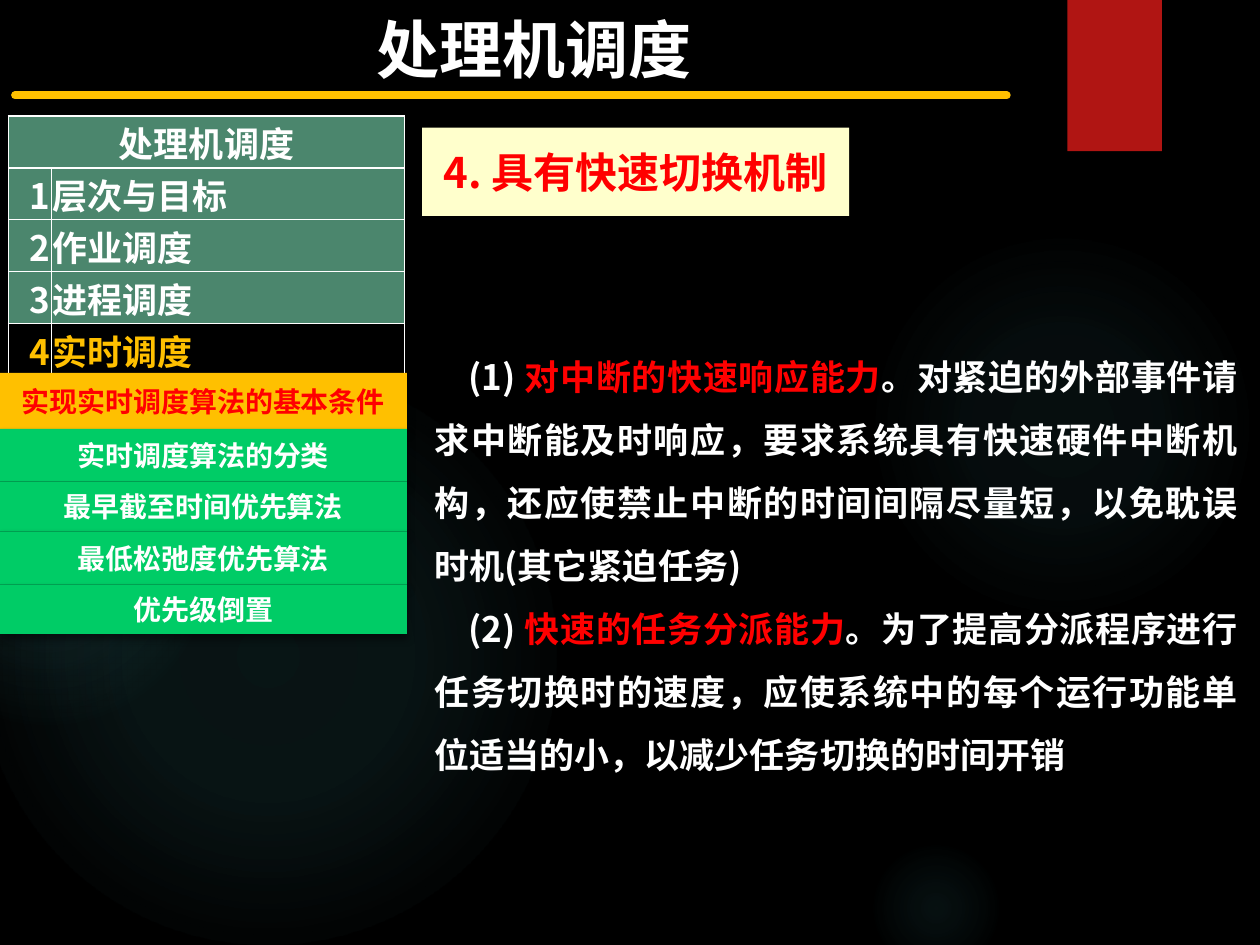
from dataclasses import dataclass

import pptx
import pptx.dml.color
import pptx.enum.shapes
import pptx.enum.text
import pptx.oxml
import pptx.oxml.ns
import pptx.util
from lxml import etree

Pt = pptx.util.Pt
qn = pptx.oxml.ns.qn
Shapes = pptx.enum.shapes.MSO_SHAPE
Align = pptx.enum.text.PP_ALIGN
Anchor = pptx.enum.text.MSO_ANCHOR

FONT = "Noto Sans CJK SC"
COLORS = {
    "background": "000000", "glow": "50B9C1", "ribbon": "B01513",
    "gold": "FFC000", "white": "FFFFFF", "chapter": "4B866D",
    "cream": "FFFFCC", "red": "FF0000", "green": "00CC66",
}


@dataclass
class Box:
    left: float
    top: float
    width: float
    height: float

    def lengths(self):
        return Pt(self.left), Pt(self.top), Pt(self.width), Pt(self.height)


@dataclass
class Glow:
    box: Box
    stops: tuple  # (position %, opacity %)


@dataclass
class Shadow:
    opacity: int
    blur: float
    distance: float


@dataclass
class Topic:
    text: str
    height: float
    fill: str = "green"
    color: str = "white"


@dataclass
class Point:
    number: str
    key: str
    detail: str


GLOWS = [
    Glow(Box(496, 132, 222, 222), ((0, 7), (36, 6), (69, 0))),
    Glow(Box(496, 480, 78, 78), ((0, 9), (36, 5), (66, 0))),
    Glow(Box(-12, 210, 330, 330), ((0, 11), (36, 10), (75, 0))),
    Glow(Box(-66, 228, 186, 186), ((0, 8), (36, 8), (72, 0))),
]
CHAPTERS = ["层次与目标", "作业调度", "进程调度", "实时调度"]
CURRENT_CHAPTER = 4
TOPICS = [
    Topic("实现实时调度算法的基本条件", 32, "gold", "red"),
    Topic("实时调度算法的分类", 30.2),
    Topic("最早截至时间优先算法", 28.4),
    Topic("最低松弛度优先算法", 30.2),
    Topic("优先级倒置", 28.4),
]
POINTS = [
    Point("(1) ", "对中断的快速响应能力",
          "。对紧迫的外部事件请求中断能及时响应，要求系统具有快速硬件中断机构，"
          "还应使禁止中断的时间间隔尽量短，以免耽误时机(其它紧迫任务)"),
    Point("(2) ", "快速的任务分派能力",
          "。为了提高分派程序进行任务切换时的速度，应使系统中的每个运行功能单位适当的小，"
          "以减少任务切换的时间开销"),
]


def rgb(name: str) -> pptx.dml.color.RGBColor:
    return pptx.dml.color.RGBColor.from_string(COLORS[name])


def write(paragraph, runs: list[tuple[str, str]], size: float, align) -> None:
    """Fill a paragraph with (text, colour name) runs in the bold slide font."""
    paragraph.alignment = align
    font = paragraph.font
    font.size, font.bold, font.name = Pt(size), True, FONT
    defaults = paragraph._p.pPr.find(qn("a:defRPr"))
    etree.SubElement(defaults, qn("a:ea")).set("typeface", FONT)
    for text, color in runs:
        run = paragraph.add_run()
        run.text = text
        run.font.color.rgb = rgb(color)


def add_shadow(shape, shadow: Shadow) -> None:
    effects = shape._element.spPr.find(qn("a:effectLst"))
    outer = etree.SubElement(
        effects, qn("a:outerShdw"), blurRad=str(Pt(shadow.blur)),
        dist=str(Pt(shadow.distance)), dir="5400000", rotWithShape="0")
    color = etree.SubElement(outer, qn("a:srgbClr"), val=COLORS["background"])
    etree.SubElement(color, qn("a:alpha"), val=str(shadow.opacity * 1000))


def add_block(slide, box: Box, fill: str, shadow: Shadow):
    block = slide.shapes.add_shape(Shapes.RECTANGLE, *box.lengths())
    block.fill.solid()
    block.fill.fore_color.rgb = rgb(fill)
    block.line.fill.background()
    block.shadow.inherit = False
    add_shadow(block, shadow)
    block.text_frame.word_wrap = True
    block.text_frame.vertical_anchor = Anchor.MIDDLE
    return block


def add_glow(slide, glow: Glow) -> None:
    """Draw a circle that fades from its centre to clear."""
    circle = slide.shapes.add_shape(Shapes.OVAL, *glow.box.lengths())
    circle.line.fill.background()
    circle.shadow.inherit = False
    stops = "".join(
        f'<a:gs pos="{position * 1000}"><a:srgbClr val="{COLORS["glow"]}">'
        f'<a:alpha val="{opacity * 1000}"/></a:srgbClr></a:gs>'
        for position, opacity in glow.stops)
    gradient = pptx.oxml.parse_xml(
        f'<a:gradFill {pptx.oxml.ns.nsdecls("a")}><a:gsLst>{stops}</a:gsLst>'
        '<a:path path="circle"><a:fillToRect l="50000" t="50000" r="50000" b="50000"/>'
        '</a:path></a:gradFill>')
    circle._element.spPr.find(qn("a:prstGeom")).addnext(gradient)


def add_title_rule(slide) -> None:
    rule = slide.shapes.add_connector(
        pptx.enum.shapes.MSO_CONNECTOR.STRAIGHT, Pt(8.6), Pt(54.5), Pt(575.3), Pt(54.5))
    rule.line.color.rgb = rgb("gold")
    rule.line.width = Pt(4.5)
    rule._element.spPr.find(qn("a:ln")).set("cap", "rnd")
    etree.SubElement(rule._element.spPr, qn("a:effectLst"))


def fill_cell(cell, text: str, align, fill: str, color: str) -> None:
    cell.margin_left = cell.margin_right = cell.margin_top = Pt(0.7)
    cell.margin_bottom = 0
    cell.vertical_anchor = Anchor.MIDDLE
    write(cell.text_frame.paragraphs[0], [(text, color)], 20, align)
    properties = cell._tc.get_or_add_tcPr()
    for side in ("a:lnL", "a:lnR", "a:lnT", "a:lnB"):
        border = etree.SubElement(properties, qn(side), w=str(Pt(1)))
        paint = etree.SubElement(border, qn("a:solidFill"))
        etree.SubElement(paint, qn("a:srgbClr"), val=COLORS["white"])
    cell.fill.solid()
    cell.fill.fore_color.rgb = rgb(fill)


def add_chapters(slide) -> None:
    row_height, widths = 29.7, (24.5, 201.6)
    row_count = len(CHAPTERS) + 1
    box = Box(5, 66.2, sum(widths), row_height * row_count)
    table = slide.shapes.add_table(row_count, len(widths), *box.lengths()).table
    for column, width in zip(table.columns, widths):
        column.width = Pt(width)
    table.cell(0, 0).merge(table.cell(0, 1))
    fill_cell(table.cell(0, 0), "处理机调度", Align.CENTER, "chapter", "white")
    for number, chapter in enumerate(CHAPTERS, 1):
        current = number == CURRENT_CHAPTER
        look = ("background", "gold") if current else ("chapter", "white")
        fill_cell(table.cell(number, 0), str(number), Align.RIGHT, *look)
        fill_cell(table.cell(number, 1), chapter, Align.LEFT, *look)


def add_points(slide) -> None:
    frame = slide.shapes.add_textbox(*Box(241.2, 187.5, 473, 262).lengths()).text_frame
    frame.word_wrap = True
    for index, point in enumerate(POINTS):
        paragraph = frame.add_paragraph() if index else frame.paragraphs[0]
        paragraph.line_spacing = 1.5
        paragraph._p.get_or_add_pPr().set("indent", str(Pt(19.5)))
        runs = [(point.number, "white"), (point.key, "red"), (point.detail, "white")]
        write(paragraph, runs, 20, Align.JUSTIFY)


def main() -> None:
    deck = pptx.Presentation()
    deck.slide_width, deck.slide_height = Pt(720), Pt(540)
    slide = deck.slides.add_slide(deck.slide_layouts[6])
    slide.background.fill.solid()
    slide.background.fill.fore_color.rgb = rgb("background")

    for glow in GLOWS:
        add_glow(slide, glow)
    add_block(slide, Box(610, 0, 54, 86.4), "ribbon", Shadow(45, 3, 2))
    add_title_rule(slide)
    title = slide.shapes.add_textbox(*Box(0.7, 2.2, 608.4, 51).lengths()).text_frame
    title.word_wrap = True
    title.vertical_anchor = Anchor.MIDDLE
    write(title.paragraphs[0], [("处理机调度", "white")], 36, Align.CENTER)

    add_chapters(slide)
    heading = add_block(slide, Box(241.2, 73, 244, 50.4), "cream", Shadow(32, 3.5, 2.2))
    write(heading.text_frame.paragraphs[0], [("4. 具有快速切换机制", "red")], 24, Align.CENTER)
    add_points(slide)

    top = 213.1
    for topic in TOPICS:
        bar = add_block(slide, Box(0, top, 232.6, topic.height), topic.fill, Shadow(45, 5, 3))
        write(bar.text_frame.paragraphs[0], [(topic.text, topic.color)], 16, Align.CENTER)
        top += topic.height

    deck.save("out.pptx")


if __name__ == "__main__":
    main()
